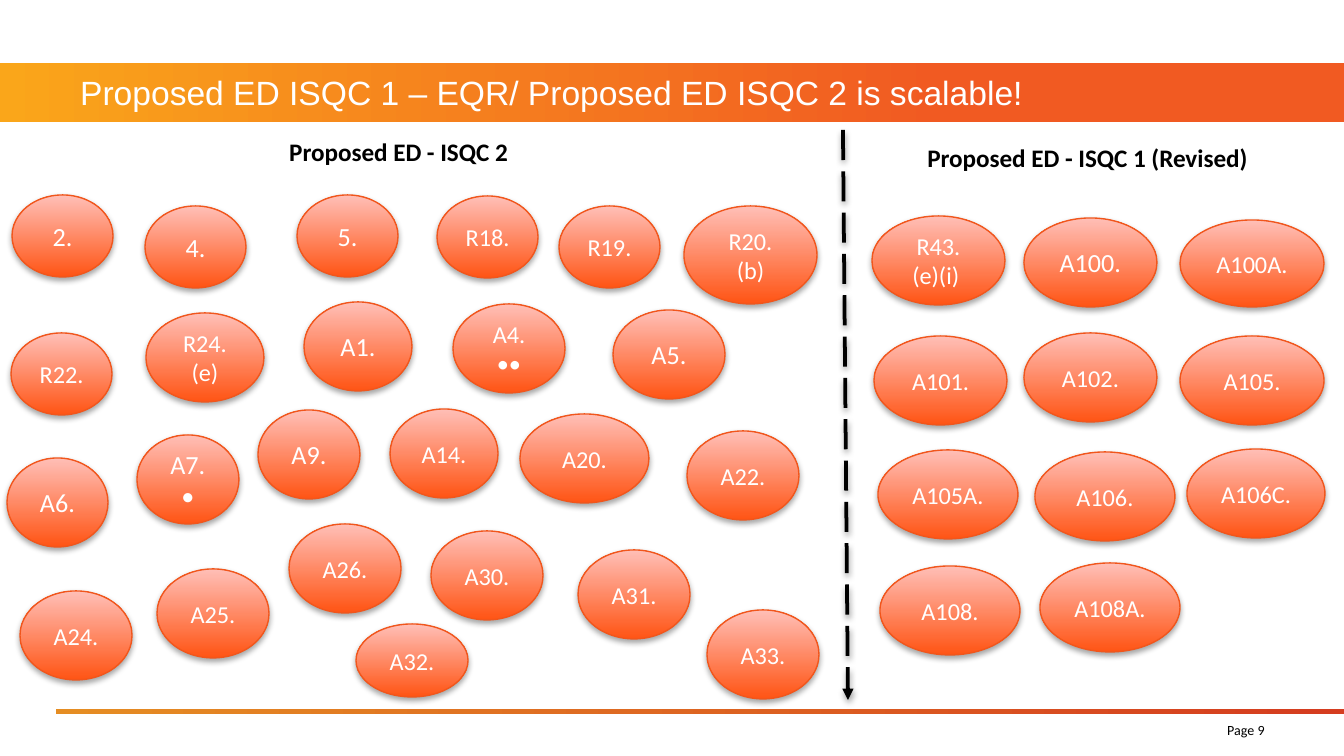
from lxml import etree
from pptx import Presentation
from pptx.dml.color import RGBColor
from pptx.enum.dml import MSO_LINE
from pptx.enum.shapes import MSO_CONNECTOR, MSO_SHAPE
from pptx.enum.text import MSO_ANCHOR, PP_ALIGN
from pptx.oxml.ns import qn
from pptx.util import Emu, Pt

TITLE = "Proposed ED ISQC 1 – EQR/ Proposed ED ISQC 2 is scalable!"
PAGE = "Page 9"
# heading, (x, y, width, height) in px
HEADINGS = [
    ("Proposed ED - ISQC 2", (276, 130, 297, 44)),
    ("Proposed ED - ISQC 1 (Revised)", (914, 136, 353, 44)),
]
# paragraph label, (x, y, width, height) in px
ISQC_2 = [
    ("2.", (12, 195, 101, 82)),
    ("4.", (145, 206, 101, 82)),
    ("5.", (297, 195, 101, 82)),
    ("R18.", (437, 196, 101, 82)),
    ("R19.", (559, 206, 101, 82)),
    ("R20. (b)", (684, 206, 133, 98)),
    ("R22.", (11, 333, 101, 82)),
    ("R24. (e)", (146, 313, 118, 89)),
    ("A1.", (304, 302, 108, 89)),
    ("A4.\n••", (453, 304, 112, 89)),
    ("A5.", (613, 310, 112, 89)),
    ("A6.", (7, 458, 101, 89)),
    ("A7.\n•", (137, 435, 102, 89)),
    ("A9.", (258, 410, 102, 89)),
    ("A14.", (390, 409, 108, 89)),
    ("A20.", (520, 414, 129, 89)),
    ("A22.", (687, 431, 112, 89)),
    ("A24.", (20, 591, 112, 89)),
    ("A25.", (157, 569, 112, 89)),
    ("A26.", (289, 524, 112, 89)),
    ("A30.", (431, 531, 112, 89)),
    ("A31.", (578, 550, 112, 89)),
    ("A32.", (356, 624, 112, 73)),
    ("A33.", (707, 610, 112, 89)),
]
ISQC_1 = [
    ("R43. (e)(i) ", (872, 216, 133, 89)),
    ("A100.", (1024, 218, 133, 89)),
    ("A100A.", (1180, 220, 144, 87)),
    ("A101.", (874, 336, 133, 89)),
    ("A102.", (1024, 333, 133, 89)),
    ("A105.", (1180, 336, 144, 89)),
    ("A105A.", (878, 450, 140, 89)),
    ("A106.", (1035, 452, 140, 89)),
    ("A106C.", (1187, 449, 138, 89)),
    ("A108.", (880, 566, 140, 89)),
    ("A108A.", (1040, 563, 140, 89)),
]
LARGE_LABELS = {"2.", "4.", "5.", "A1.", "A5.", "A6.", "A7.\n•", "A9.", "A100."}

SLIDE_WIDTH, SLIDE_HEIGHT = 1344, 756
EMU_PER_PX = 9144000 / SLIDE_WIDTH


def px(length):
    return Emu(round(length * EMU_PER_PX))


def color(hex_value):
    return RGBColor.from_string(hex_value)


def add_gradient_shape(slide, preset, box, stops, angle=0):
    shape = slide.shapes.add_shape(preset, *map(px, box))
    shape.shadow.inherit = False
    shape.line.fill.background()
    shape.fill.gradient()
    shape.fill.gradient_angle = angle
    for stop, (position, hex_value) in zip(shape.fill.gradient_stops, stops):
        stop.position = position
        stop.color.rgb = color(hex_value)
    return shape


def add_shadow(properties, alpha, distance):
    """Put a soft downward shadow in the effect list of a shape or connector."""
    effects = properties.find(qn("a:effectLst"))
    if effects is None:
        effects = etree.SubElement(properties, qn("a:effectLst"))
    shadow = etree.SubElement(effects, qn("a:outerShdw"), blurRad="40000",
                              dist=str(distance), dir="5400000", rotWithShape="0")
    black = etree.SubElement(shadow, qn("a:srgbClr"), val="000000")
    etree.SubElement(black, qn("a:alpha"), val=str(alpha * 1000))


def write_text(shape, text, *, size, font="Calibri", fill="000000", bold=False,
               align=PP_ALIGN.LEFT, anchor=MSO_ANCHOR.TOP):
    frame = shape.text_frame
    frame.text = text
    frame.word_wrap = True
    frame.vertical_anchor = anchor
    for paragraph in frame.paragraphs:
        paragraph.alignment = align
        for run in paragraph.runs:
            run.font.name = font
            run.font.size = Pt(size)
            run.font.bold = bold
            run.font.color.rgb = color(fill)


def add_label(slide, label, box):
    ellipse = add_gradient_shape(slide, MSO_SHAPE.OVAL, box,
                                 [(0, "FF5414"), (1, "FFBFB7")], angle=90)
    ellipse.line.color.rgb = color("F1561C")
    ellipse.line.width = Pt(0.75)
    add_shadow(ellipse.element.spPr, alpha=35, distance=23000)
    write_text(ellipse, label, size=14 if label in LARGE_LABELS else 13,
               fill="FFFFFF", align=PP_ALIGN.CENTER, anchor=MSO_ANCHOR.MIDDLE)


def add_divider(slide):
    divider = slide.shapes.add_connector(MSO_CONNECTOR.STRAIGHT,
                                         *map(px, (843, 130, 848, 700)))
    divider.line.color.rgb = color("000000")
    divider.line.width = Pt(2)
    divider.line.dash_style = MSO_LINE.LONG_DASH
    properties = divider.element.spPr
    etree.SubElement(properties.find(qn("a:ln")), qn("a:tailEnd"), type="triangle")
    add_shadow(properties, alpha=38, distance=20000)


def add_page_number(slide):
    page = slide.shapes.add_textbox(*map(px, (1211, 719, 70, 38)))
    write_text(page, PAGE, size=7.5, align=PP_ALIGN.CENTER, anchor=MSO_ANCHOR.MIDDLE)
    frame = page.text_frame
    frame.margin_left = frame.margin_right = frame.margin_top = 0
    frame.margin_bottom = px(16)


def main():
    deck = Presentation()
    deck.slide_width, deck.slide_height = px(SLIDE_WIDTH), px(SLIDE_HEIGHT)
    slide = deck.slides.add_slide(deck.slide_layouts[6])

    add_gradient_shape(slide, MSO_SHAPE.RECTANGLE, (0, 63, SLIDE_WIDTH, 59),
                       [(0, "FAA61A"), (0.7, "F15A22")])
    add_gradient_shape(slide, MSO_SHAPE.RECTANGLE, (56, 709, 1288, 5),
                       [(0, "E58D23"), (0.99, "D53D20")])
    add_page_number(slide)

    title = slide.shapes.add_textbox(*map(px, (67, 63, 1210, 59)))
    write_text(title, TITLE, size=18, font="Arial", fill="FFFFFF",
               anchor=MSO_ANCHOR.MIDDLE)
    for heading, box in HEADINGS:
        write_text(slide.shapes.add_textbox(*map(px, box)), heading,
                   size=13.5, bold=True)

    add_divider(slide)
    for label, box in ISQC_2 + ISQC_1:
        add_label(slide, label, box)
    deck.save("out.pptx")


if __name__ == "__main__":
    main()
